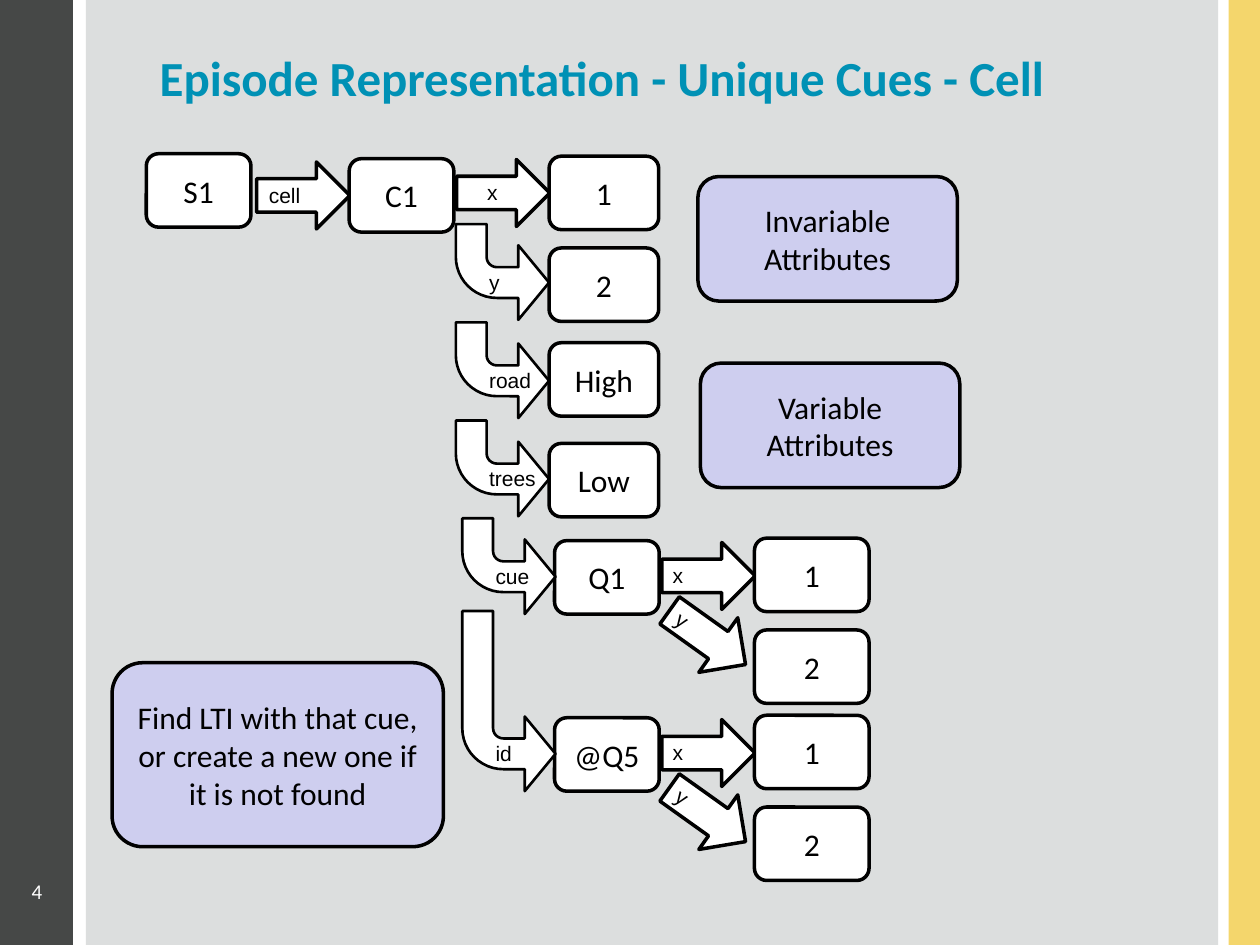
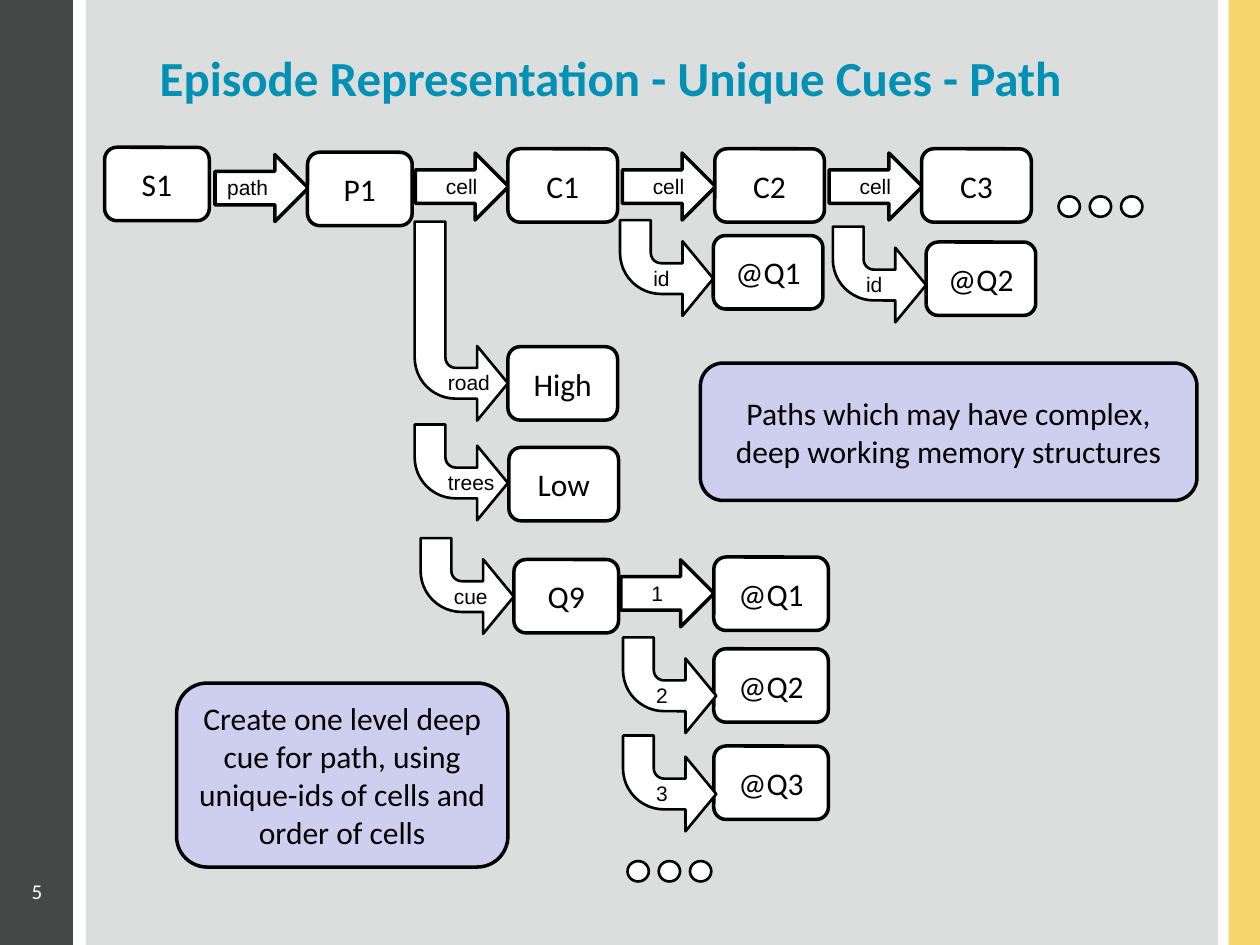
import pptx
import pptx.util
import pptx.dml.color
import pptx.enum.shapes
import pptx.enum.text
from dataclasses import dataclass
from pptx.oxml.ns import qn

Cm = pptx.util.Cm
Kind = pptx.enum.shapes.MSO_SHAPE
Align = pptx.enum.text.PP_ALIGN
Anchor = pptx.enum.text.MSO_ANCHOR


@dataclass(frozen=True)
class Theme:
    # Colours
    dark: str = "464847"
    gold: str = "F4D66C"
    grey: str = "DCDEDE"
    teal: str = "0091B5"
    lilac: str = "CECEEF"
    white: str = "FFFFFF"
    black: str = "000000"
    # Fonts and type sizes in points
    main: str = "Calibri"
    tag: str = "Arial"
    head: int = 28
    body: int = 18
    small: int = 12
    # Line widths in points
    thick: float = 2
    thin: float = 1.5


T = Theme()

# Standard sizes in cm
TALL = 1.48            # node height
SLIM, MID, WIDE = 2.11, 2.21, 2.31   # node widths
SHAFT = (1.35, 1.88)   # straight arrow before its turn
BEND = (1.88, 1.93)    # bent arrow
STEP = 1.98            # between stacked bent arrows


def color(code):
    return pptx.dml.color.RGBColor.from_string(code)


def write(shape, text, size=T.body, font=T.main, ink=T.black, bold=False,
          align=Align.LEFT, anchor=Anchor.TOP):
    frame = shape.text_frame
    frame.word_wrap = True
    frame.vertical_anchor = anchor
    para = frame.paragraphs[0]
    para.alignment = align
    run = para.add_run()
    run.text = text
    run.font.size = pptx.util.Pt(size)
    run.font.name = font
    run.font.bold = bold
    run.font.color.rgb = color(ink)


def draw(slide, kind, x, y, w, h, fill=T.white, line=None):
    shape = slide.shapes.add_shape(kind, Cm(x), Cm(y), Cm(w), Cm(h))
    shape.shadow.inherit = False
    shape.fill.solid()
    shape.fill.fore_color.rgb = color(fill)
    if line:
        shape.line.color.rgb = color(T.black)
        shape.line.width = pptx.util.Pt(line)
    else:
        shape.line.fill.background()
    return shape


def note(slide, text, x, y, w, h, **style):
    box = slide.shapes.add_textbox(Cm(x), Cm(y), Cm(w), Cm(h))
    write(box, text, **style)
    return box


def label(slide, text, x, y):
    return note(slide, text, x, y, 1.91, 0.76, size=T.small, font=T.tag)


def node(slide, text, x, y, w=MID, h=TALL, fill=T.white):
    box = draw(slide, Kind.ROUNDED_RECTANGLE, x, y, w, h, fill, T.thick)
    write(box, text, align=Align.CENTER, anchor=Anchor.MIDDLE)


def aside(slide, text, x, y, w, h):
    node(slide, text, x, y, w, h, T.lilac)


def arrow(slide, text, x, y, shift=0.1, turn=270):
    shape = draw(slide, Kind.DOWN_ARROW, x, y, *SHAFT, line=T.thick)
    shape.rotation = turn
    label(slide, text, x + shift, y + 0.55).rotation = turn - 270


def bend(slide, text, x, y, h=BEND[1]):
    shape = draw(slide, Kind.BENT_ARROW, x, y, BEND[0], h, line=T.thin)
    for i, ratio in enumerate((0.33, 0.4, 0.33, 0.44)):
        shape.adjustments[i] = ratio
    shape.element.spPr.find(qn("a:xfrm")).set("flipV", "1")
    label(slide, text, x + 0.42, y + h - 1.15)


def dots(slide, x, y):
    for i in range(3):
        draw(slide, Kind.OVAL, x + i * 0.63, y, 0.43, 0.41, line=T.thin)


def cue(slide, name, text, y, h=BEND[1]):
    """A cue node with its x and y values, reached by a bent arrow."""
    node(slide, name, 11.18, y, SLIM)
    arrow(slide, "x", 13.61, y - 0.23, -0.3)
    node(slide, "1", 15.21, y - 0.05, WIDE)
    arrow(slide, "y", 13.59, y + 1.01, -0.3, 305.5)
    node(slide, "2", 15.21, y + 1.8, WIDE)
    bend(slide, text, 9.32, y + TALL - h, h)


def start(deck, title, number):
    """A new slide with bands, title and page number."""
    slide = deck.slides.add_slide(deck.slide_layouts[6])
    for x, w, fill in ((0, 1.47, T.dark), (24.77, 0.63, T.gold),
                       (1.73, 22.83, T.grey)):
        draw(slide, Kind.RECTANGLE, x, 0, w, 19.05, fill)
    note(slide, title, 2.97, 0.84, 20.52, 1.7,
         size=T.head, ink=T.teal, bold=True)
    page = note(slide, str(number), 0, 17.58, 1.47, 0.84,
                size=T.small, ink=T.white, align=Align.RIGHT)
    page.text_frame.margin_right = Cm(0.62)
    return slide


def cell(deck):
    slide = start(deck, "Episode Representation - Unique Cues - Cell", 4)
    # State and cell
    node(slide, "S1", 2.95, 3.1, SLIM)
    arrow(slide, "cell", 5.44, 3, -0.27)
    node(slide, "C1", 7.04, 3.2, SLIM)
    arrow(slide, "x", 9.47, 2.95)
    # Attribute values
    for text, y in (("1", 3.15), ("2", 5), ("High", 6.91), ("Low", 8.94)):
        node(slide, text, 11.07, y)
    for i, text in enumerate(("y", "road", "trees")):
        bend(slide, text, 9.19, 4.52 + i * STEP)
    # Cue and its unique id
    cue(slide, "Q1", "cue", 10.9)
    cue(slide, "@Q5", "id", 14.47, 3.63)
    # Remarks
    aside(slide, "Invariable Attributes", 14.07, 3.56, 5.23, 2.51)
    aside(slide, "Variable Attributes", 14.12, 7.32, 5.23, 2.51)
    aside(slide, "Find LTI with that cue, or create a new one if it is "
          "not found", 2.26, 13.36, 6.68, 3.71)


def route(deck):
    slide = start(deck, "Episode Representation - Unique Cues - Path", 5)
    # State, path and its chain of cells
    node(slide, "S1", 2.11, 2.97, SLIM)
    arrow(slide, "path", 4.6, 2.85, -0.27)
    node(slide, "P1", 6.2, 3.07, SLIM)
    for i, text in enumerate(("C1", "C2", "C3")):
        arrow(slide, "cell", 8.64 + i * 4.17, 2.82)
        node(slide, text, 10.24 + i * 4.17, 3)
    dots(slide, 21.34, 3.96)
    # Unique ids of the cells
    for text, x, y in (("@Q1", 14.38, 4.75), ("@Q2", 18.67, 4.88)):
        node(slide, text, x, y)
        bend(slide, "id", x - BEND[0], y - 0.31)
    # Path attributes
    node(slide, "High", 10.24, 6.99)
    bend(slide, "road", 8.36, 4.47, 4.01)
    node(slide, "Low", 10.26, 9.02)
    bend(slide, "trees", 8.36, 8.56)
    # Cue with the ids in order
    node(slide, "Q9", 10.36, 11.28, SLIM)
    bend(slide, "cue", 8.48, 10.85)
    arrow(slide, "1", 12.78, 11.02)
    for text, y in (("@Q1", 11.23), ("@Q2", 13.08), ("@Q3", 15.04)):
        node(slide, text, 14.39, y, WIDE)
    for i, text in enumerate(("2", "3")):
        bend(slide, text, 12.56, 12.85 + i * STEP)
    dots(slide, 12.65, 17.36)
    # Remarks
    aside(slide, "Create one level deep cue for path, using unique-ids of "
          "cells and order of cells", 3.56, 13.77, 6.68, 3.71)
    aside(slide, "Paths which may have complex, deep working memory "
          "structures", 14.12, 7.32, 10.01, 2.77)


def main():
    deck = pptx.Presentation()
    deck.slide_width, deck.slide_height = Cm(25.4), Cm(19.05)
    cell(deck)
    route(deck)
    deck.save("out.pptx")


if __name__ == "__main__":
    main()
